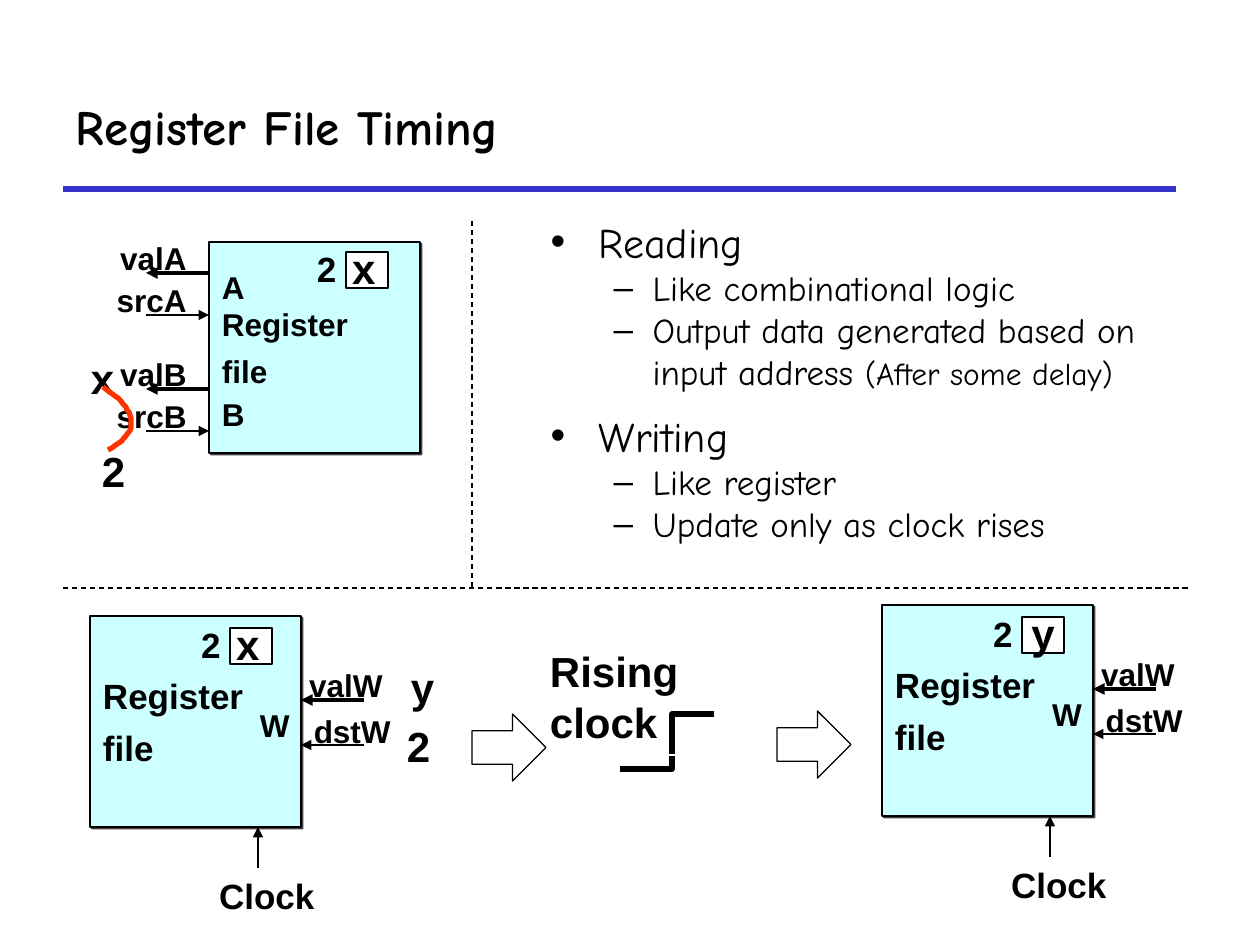
from lxml.etree import SubElement
from pptx import Presentation
from pptx.dml.color import RGBColor
from pptx.enum.dml import MSO_LINE
from pptx.enum.shapes import MSO_CONNECTOR, MSO_SHAPE
from pptx.enum.text import MSO_ANCHOR, MSO_AUTO_SIZE, PP_ALIGN
from pptx.oxml.ns import qn
from pptx.util import Pt

EMU_PER_PX = 914400 / 126
BLACK, WHITE, CYAN, BLUE, RED = "000000", "FFFFFF", "CCFFFF", "3333CC", "FF3300"
BULLETS = {0: ("•", 48, -48), 1: ("–", 102, -39)}
WIDE, NARROW, CELL = (13, 6, 13, 6), (6, 6, 6, 6), (6, 0, 6, 5)
READING = [
    (0, [("Reading", 24)], 0),
    (1, [("Like combinational logic", 20)], 0),
    (1, [("Output data generated based on input address ", 20), ("(After some delay)", 18)], 0),
    (0, [("Writing", 24)], 10),
    (1, [("Like register", 20)], 0),
    (1, [("Update only as clock rises", 20)], 0),
]


def px(length):
    """Turn pixels into EMU."""
    return round(length * EMU_PER_PX)


def color(hex_code):
    """Turn a hex string into a colour."""
    return RGBColor.from_string(hex_code)


def apply(target, formats):
    """Set each named attribute on the target."""
    for name, value in formats.items():
        setattr(target, name, value)


def add_xml(parent, tag, **attributes):
    """Append a drawing element to the parent."""
    return SubElement(parent, qn(tag), attributes)


def style_font(font, size, family="Arial", bold=True):
    """Give a font its size, family, weight and black colour."""
    apply(font, {"size": Pt(size), "name": family, "bold": bold})
    font.color.rgb = color(BLACK)


def place(element, box):
    """Move and size an element by a pixel box."""
    apply(element, dict(zip(("left", "top", "width", "height"), map(px, box))))


def write(frame, lines, size, insets, align=PP_ALIGN.LEFT, anchor=MSO_ANCHOR.TOP, wrap=False):
    """Fill a text frame with bold lines."""
    sides = ("margin_left", "margin_top", "margin_right", "margin_bottom")
    apply(frame, dict(zip(sides, map(px, insets))))
    apply(frame, {"word_wrap": wrap, "vertical_anchor": anchor})
    for index, line in enumerate(lines):
        paragraph = frame.add_paragraph() if index else frame.paragraphs[0]
        paragraph.text = line
        apply(paragraph, {"alignment": align, "space_before": Pt(0.3 * size if index else 0)})
        style_font(paragraph.font, size)


def add_label(shapes, text, box, size, insets=NARROW, wrap=False):
    """Add a free-standing label."""
    label = shapes.add_textbox(*map(px, box))
    write(label.text_frame, [text], size, insets, wrap=wrap)


def add_box(shapes, box, preset=MSO_SHAPE.RECTANGLE, fill=None, line=None, weight=0.75):
    """Add a preset shape with optional fill and outline."""
    shape = shapes.add_shape(preset, *map(px, box))
    shape.shadow.inherit = False
    if fill:
        shape.fill.solid()
        shape.fill.fore_color.rgb = color(fill)
    else:
        shape.fill.background()
    if line:
        shape.line.color.rgb = color(line)
        shape.line.width = Pt(weight)
    else:
        shape.line.fill.background()
    return shape


def add_line(shapes, start, end, weight, ink=BLACK, arrow=False, dash=None):
    """Add a straight line, with an arrowhead or dashes if asked."""
    line = shapes.add_connector(MSO_CONNECTOR.STRAIGHT, *map(px, start + end))
    line.line.color.rgb = color(ink)
    apply(line.line, {"width": Pt(weight), "dash_style": dash})
    if arrow:
        add_xml(line.line._get_or_add_ln(), "a:tailEnd", type="triangle")
    add_xml(line._element.spPr, "a:effectLst")


def add_path(shapes, points, ink):
    """Add an open stroke through the points."""
    builder = shapes.build_freeform(*points[0], scale=EMU_PER_PX)
    builder.add_line_segments(points[1:], close=False)
    path = builder.convert_to_shape()
    path.shadow.inherit = False
    path.fill.background()
    path.line.color.rgb = color(ink)
    path.line.width = Pt(3)


def bezier(start, pull_a, pull_b, end, steps=24):
    """List points along a cubic curve."""
    return [
        tuple((1 - t) ** 3 * a + 3 * t * (1 - t) ** 2 * b + 3 * t * t * (1 - t) * c + t ** 3 * d
              for a, b, c, d in zip(start, pull_a, pull_b, end))
        for t in (step / steps for step in range(steps + 1))
    ]


def add_register_file(shapes, left, top, size):
    """Add the shadowed register file block."""
    block = add_box(shapes, (left, top, 211, 211), fill=CYAN, line=BLACK)
    effects = block._element.spPr.find(qn("a:effectLst"))
    shadow = add_xml(effects, "a:outerShdw", dist="17961", dir="2700000")
    add_xml(add_xml(shadow, "a:srgbClr", val=BLACK), "a:alpha", val="75000")
    write(block.text_frame, ["Register", "file"], size, WIDE, anchor=MSO_ANCHOR.MIDDLE)


def add_cell(shapes, left, top, value, align=PP_ALIGN.LEFT):
    """Add a stored value with its register number 2."""
    cell = add_box(shapes, (left, top, 42, 36), fill=WHITE, line=BLACK, weight=1.5)
    write(cell.text_frame, [value], 24, CELL, align, MSO_ANCHOR.MIDDLE)
    add_label(shapes, "2", (left - 35, top - 11, 33, 55), 20)


def add_signal(shapes, name, left, top):
    """Add a right-aligned signal name."""
    signal = add_box(shapes, (left, top, 63, 53), MSO_SHAPE.OVAL)
    write(signal.text_frame, [name], 18, WIDE, PP_ALIGN.RIGHT, MSO_ANCHOR.MIDDLE)


def add_read_port(shapes, port, top, port_top):
    """Add a read port with its value and source signals."""
    add_label(shapes, port, (209, port_top, 43, 52), 18, WIDE, True)
    add_line(shapes, (209, top + 42), (146, top + 42), 2.25, arrow=True)
    add_line(shapes, (146, top + 84), (209, top + 84), 1, arrow=True)
    add_signal(shapes, "val" + port, 146, top)
    add_signal(shapes, "src" + port, 146, top + 42)


def add_write_file(shapes, left, top, value, align):
    """Add a clocked register file with its write port."""
    add_register_file(shapes, left, top, 20)
    add_label(shapes, "W", (left + 157, top + 84, 42, 52), 18, WIDE, True)
    add_signal(shapes, "dstW", left + 260, top + 88)
    add_signal(shapes, "valW", left + 252, top + 42)
    for offset, weight in ((84, 2.25), (129, 1)):
        add_line(shapes, (left + 274, top + offset), (left + 211, top + offset), weight, arrow=True)
    add_line(shapes, (left + 168, top + 252), (left + 168, top + 211), 1, arrow=True)
    add_label(shapes, "Clock", (left + 123, top + 252, 108, 55), 20)
    add_cell(shapes, left + 140, top + 12, value, align)


def fill_title(title):
    """Place and format the title."""
    place(title, (63, 63, 1113, 126))
    title.text_frame.text = "Register File Timing"
    apply(title.text_frame, {"vertical_anchor": MSO_ANCHOR.MIDDLE, "auto_size": MSO_AUTO_SIZE.NONE})
    title.text_frame.paragraphs[0].alignment = PP_ALIGN.LEFT
    style_font(title.text_frame.paragraphs[0].runs[0].font, 28, "Comic Neue")


def fill_body(body):
    """Place the body and write its two-level list."""
    place(body, (538, 210, 669, 378))
    frame = body.text_frame
    frame.auto_size = MSO_AUTO_SIZE.NONE
    for index, (level, runs, gap) in enumerate(READING):
        paragraph = frame.add_paragraph() if index else frame.paragraphs[0]
        bullet, margin, indent = BULLETS[level]
        properties = paragraph._p.get_or_add_pPr()
        apply(paragraph, {"level": level, "space_before": Pt(gap)})
        properties.set("marL", str(px(margin)))
        properties.set("indent", str(px(indent)))
        add_xml(properties, "a:buChar", char=bullet)
        for text, size in runs:
            run = paragraph.add_run()
            run.text = text
            style_font(run.font, size, "Comic Neue", False)


def main():
    """Build the register file timing slide."""
    deck = Presentation()
    apply(deck, {"slide_width": px(1260), "slide_height": px(945)})
    slide = deck.slides.add_slide(deck.slide_layouts[1])
    shapes = slide.shapes
    add_line(shapes, (63, 189), (1176, 189), 3, BLUE)
    fill_title(shapes.title)
    fill_body(slide.placeholders[1])

    add_path(shapes, [(620, 769), (672, 769), (672, 714), (714, 714)], BLACK)
    rising = add_box(shapes, (537, 640, 272, 115), line=WHITE)
    write(rising.text_frame, ["Rising clock"], 24, WIDE, wrap=True)

    add_register_file(shapes, 209, 242, 18)
    add_read_port(shapes, "A", 231, 262)
    add_read_port(shapes, "B", 347, 389)
    add_cell(shapes, 346, 252, "x")
    for text, left, top in (("x", 85, 347), ("2", 96, 440), ("y", 405, 656), ("2", 401, 715)):
        add_label(shapes, text, (left, top, 37, 64), 24)
    add_path(shapes, bezier((108, 450), (142, 432), (138, 410), (103, 387)), RED)

    for left, top in ((472, 714), (777, 711)):
        add_box(shapes, (left, top, 74, 67), MSO_SHAPE.RIGHT_ARROW, line=BLACK)
    add_write_file(shapes.add_group_shape().shapes, 90, 616, "x", PP_ALIGN.LEFT)
    add_write_file(shapes.add_group_shape().shapes, 882, 605, "y", PP_ALIGN.CENTER)
    add_line(shapes, (63, 588), (1189, 588), 0.75, dash=MSO_LINE.DASH)
    add_line(shapes, (472, 221), (472, 588), 0.75, dash=MSO_LINE.DASH)
    deck.save("out.pptx")


if __name__ == "__main__":
    main()
